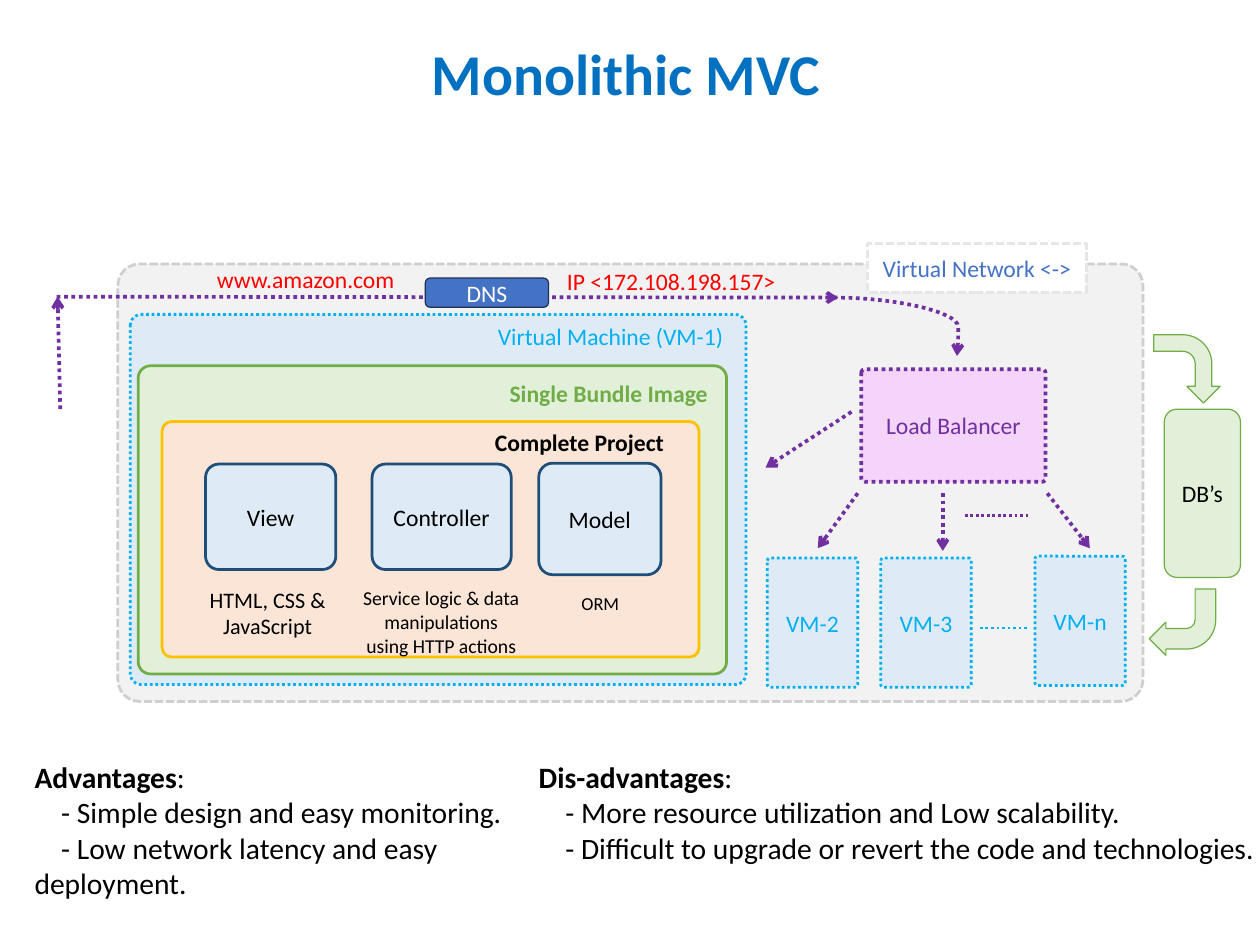
from dataclasses import dataclass

from lxml.etree import SubElement
from pptx import Presentation
from pptx.dml.color import RGBColor
from pptx.enum.dml import MSO_LINE as DASH
from pptx.enum.shapes import MSO_CONNECTOR as CONN, MSO_SHAPE as SHAPE
from pptx.enum.text import MSO_ANCHOR as ANCHOR, MSO_AUTO_SIZE as AUTO, PP_ALIGN as ALIGN
from pptx.oxml.ns import qn
from pptx.util import Inches, Pt

COLS, ROWS = 142.2, 106.7  # square grid cells, a tenth of an inch each


@dataclass(frozen=True)
class Theme:
    font: str = "Calibri"
    title: float = 46.9
    body: float = 24
    label: float = 19.2
    note: float = 18
    small: float = 16
    tiny: float = 14.9
    black: str = "000000"
    white: str = "FFFFFF"
    heading: str = "0070C0"
    grey_fill: str = "F2F2F2"
    grey_line: str = "D0CECE"
    tag_line: str = "E7E6E6"
    blue: str = "4472C4"
    dark_blue: str = "1E3256"
    navy: str = "1F4E79"
    sky: str = "00B0F0"
    sky_fill: str = "DEEBF7"
    green: str = "70AD47"
    green_fill: str = "E2F0D9"
    gold: str = "FFC000"
    peach: str = "FBE5D6"
    purple: str = "7030A0"
    lilac: str = "F4D4F8"
    red: str = "FF0000"


T = Theme()


def cells(*counts):
    return [Inches(n / 10) for n in counts]


def write(p, text, size=T.label, color=T.black, bold=False, align=None):
    if align is not None:
        p.alignment = align
    r = p.add_run()
    r.text = text
    f = r.font
    f.name, f.size, f.bold = T.font, Pt(size), bold
    f.color.rgb = RGBColor.from_string(color)


def style_line(line, color, width, dash):
    line.color.rgb = RGBColor.from_string(color)
    line.width = Pt(width)
    if dash is not None:
        line.dash_style = dash


class Board:
    """Holds the theme and the current slide; all lengths are grid cells."""

    def __init__(self, s):
        self.s = s

    def place(self, sp, at):
        sp.left, sp.top, sp.width, sp.height = cells(*at)

    def title(self, at, text):
        sp = self.s.shapes.title
        self.place(sp, at)
        tf = sp.text_frame
        tf.auto_size, tf.vertical_anchor = AUTO.NONE, ANCHOR.MIDDLE
        p = tf.paragraphs[0]
        p.line_spacing = 0.9
        write(p, text, size=T.title, color=T.heading, bold=True, align=ALIGN.CENTER)

    def points(self, idx, at, heading, items):
        """Fill a body placeholder with a bold heading and dashed lines."""
        sp = self.s.placeholders[idx]
        self.place(sp, at)
        tf = sp.text_frame
        tf.auto_size, tf.word_wrap, tf.margin_right = AUTO.NONE, True, 0
        for i, item in enumerate([heading, *items]):
            p = tf.paragraphs[0] if i == 0 else tf.add_paragraph()
            p.space_before, p.line_spacing = Pt(0), 1.0
            pPr = p._p.get_or_add_pPr()
            pPr.set("marL", "0")
            pPr.set("indent", str(Inches(0.3) if i else 0))
            SubElement(pPr, qn("a:buNone"))
            if i == 0:
                write(p, item, size=T.body, bold=True)
                write(p, ":", size=T.body)
            else:
                write(p, "- " + item, size=T.body)

    def box(self, at, fill, line, text=None, kind=SHAPE.ROUNDED_RECTANGLE,
            adj=(), width=2.25, dash=None, turn=0, color=T.black):
        sp = self.s.shapes.add_shape(kind, *cells(*at))
        sp.shadow.inherit = False
        sp.rotation = turn
        for i, value in enumerate(adj):
            sp.adjustments[i] = value
        sp.fill.solid()
        sp.fill.fore_color.rgb = RGBColor.from_string(fill)
        style_line(sp.line, line, width, dash)
        if text:
            sp.text_frame.vertical_anchor = ANCHOR.MIDDLE
            write(sp.text_frame.paragraphs[0], text, color=color, align=ALIGN.CENTER)

    def label(self, at, text, **fmt):
        tf = self.s.shapes.add_textbox(*cells(*at)).text_frame
        tf.word_wrap = True
        write(tf.paragraphs[0], text, **fmt)

    def dots(self, start, end, color=T.purple, width=3, arrow=True, bend=None):
        """Draw a dotted connector; bend is the share of the way where it curves."""
        kind = CONN.STRAIGHT if bend is None else CONN.CURVE
        c = self.s.shapes.add_connector(kind, *cells(*start, *end))
        style_line(c.line, color, width, DASH.ROUND_DOT)
        spPr = c._element.spPr
        if arrow:
            SubElement(c.line._get_or_add_ln(), qn("a:tailEnd"), type="arrow")
        if bend is not None:
            guides = spPr.find(qn("a:prstGeom")).get_or_add_avLst()
            SubElement(guides, qn("a:gd"), name="adj1", fmla=f"val {round(bend * 100000)}")
        SubElement(spPr, qn("a:effectLst"))


def main():
    prs = Presentation()
    prs.slide_width, prs.slide_height = cells(COLS, ROWS)
    b = Board(prs.slides.add_slide(prs.slide_layouts[3]))

    b.title((9.9, 2.3, 121.5, 12.7), "Monolithic MVC")
    b.points(1, (2.9, 85.2, 61, 17.2), "Advantages",
             ["Simple design and easy monitoring.",
              "Low network latency and easy deployment."])
    b.points(2, (59.8, 85.2, COLS - 59.8, 13.1), "Dis-advantages",
             ["More resource utilization and Low scalability.",
              "Difficult to upgrade or revert the code and technologies."])

    # Nested containers, from the network down to the project
    b.box((13.3, 29.8, 115.7, 49.4), T.grey_fill, T.grey_line, adj=[0.05], dash=DASH.SQUARE_DOT)
    b.box((14.7, 35.5, 69.5, 41.8), T.sky_fill, T.sky, adj=[0.03], dash=DASH.ROUND_DOT)
    b.box((15.6, 41.3, 66.4, 34.8), T.green_fill, T.green, adj=[0.04])
    b.box((18.3, 47.6, 60.6, 26.6), T.peach, T.gold, adj=[0.04])
    b.label((55.2, 35.9, 29, 4.2), "Virtual Machine (VM-1)", color=T.sky)
    b.label((55.8, 42.3, 25.8, 4.2), "Single Bundle Image",
            color=T.green, bold=True, align=ALIGN.CENTER)
    b.label((52.9, 47.8, 25, 4.2), "Complete Project", bold=True, align=ALIGN.CENTER)

    for at, name in [((23.2, 52.4, 14.7, 11.9), "View"),
                     ((42, 52.4, 15.7, 11.9), "Controller"),
                     ((60.8, 52.3, 13.8, 12.6), "Model")]:
        b.box(at, T.sky_fill, T.navy, name, adj=[0.125])
    for at, note, size in [
            ((20.9, 65.7, 18.6, 7.1), "HTML, CSS & JavaScript", T.note),
            ((39.8, 65.7, 20, 9.1), "Service logic & data manipulations using HTTP actions", T.small),
            ((62.1, 66.4, 11.3, 3.5), "ORM", T.tiny)]:
        b.label(at, note, size=size, align=ALIGN.CENTER)

    # Load balancer and the other machines
    b.box((97.9, 27.5, 24.7, 5.5), T.white, T.tag_line, "Virtual Network <->",
          kind=SHAPE.RECTANGLE, dash=DASH.SQUARE_DOT, color=T.blue)
    for left, top, name in [(86.6, 63, "VM-2"), (99.4, 63, "VM-3"), (116.8, 62.8, "VM-n")]:
        b.box((left, top, 10.2, 14.6), T.sky_fill, T.sky, name,
              adj=[0.03], dash=DASH.ROUND_DOT, color=T.sky)
    b.dots((110.6, 70.9), (116, 70.9), color=T.sky, width=2.25, arrow=False)
    b.box((97.2, 41.7, 20.8, 12.7), T.lilac, T.purple, "Load Balancer",
          adj=[0.03], width=3, dash=DASH.ROUND_DOT, color=T.purple)
    for start, end in [((96.8, 55.7), (92.3, 61.9)), ((106.4, 55.7), (106.4, 62.2)),
                       ((118.2, 55.7), (123, 61.9)), ((96.1, 46.5), (86.4, 52.8)),
                       ((6.8, 46.2), (6.5, 33.5)), ((6.4, 33.5), (94.6, 33.6))]:
        b.dots(start, end)
    b.dots((94.1, 33.6), (108, 40.2), bend=1.01)
    b.dots((108.9, 58.2), (116.2, 58.2), width=2.25, arrow=False)

    # Databases
    b.box((131.4, 46.2, 8.6, 19), T.green_fill, T.green, "DB’s", width=1)
    b.box((130.1, 37.9, 7.7, 7.5), T.green_fill, T.green, kind=SHAPE.BENT_ARROW, width=1, turn=90)
    b.box((129.7, 66.5, 7.5, 7.5), T.green_fill, T.green, kind=SHAPE.BENT_ARROW,
          adj=[0.31, 0.25, 0.25, 0.44], width=1, turn=180)

    # Name lookup
    b.box((48, 31.4, 13.9, 3.3), T.blue, T.dark_blue, "DNS", width=1, color=T.white)
    b.label((23.5, 29.4, 23.8, 4.3), "www.amazon.com", color=T.red)
    b.label((63, 29.6, 26.2, 4.2), "IP <172.108.198.157>", color=T.red)

    prs.save("out.pptx")


if __name__ == "__main__":
    main()
